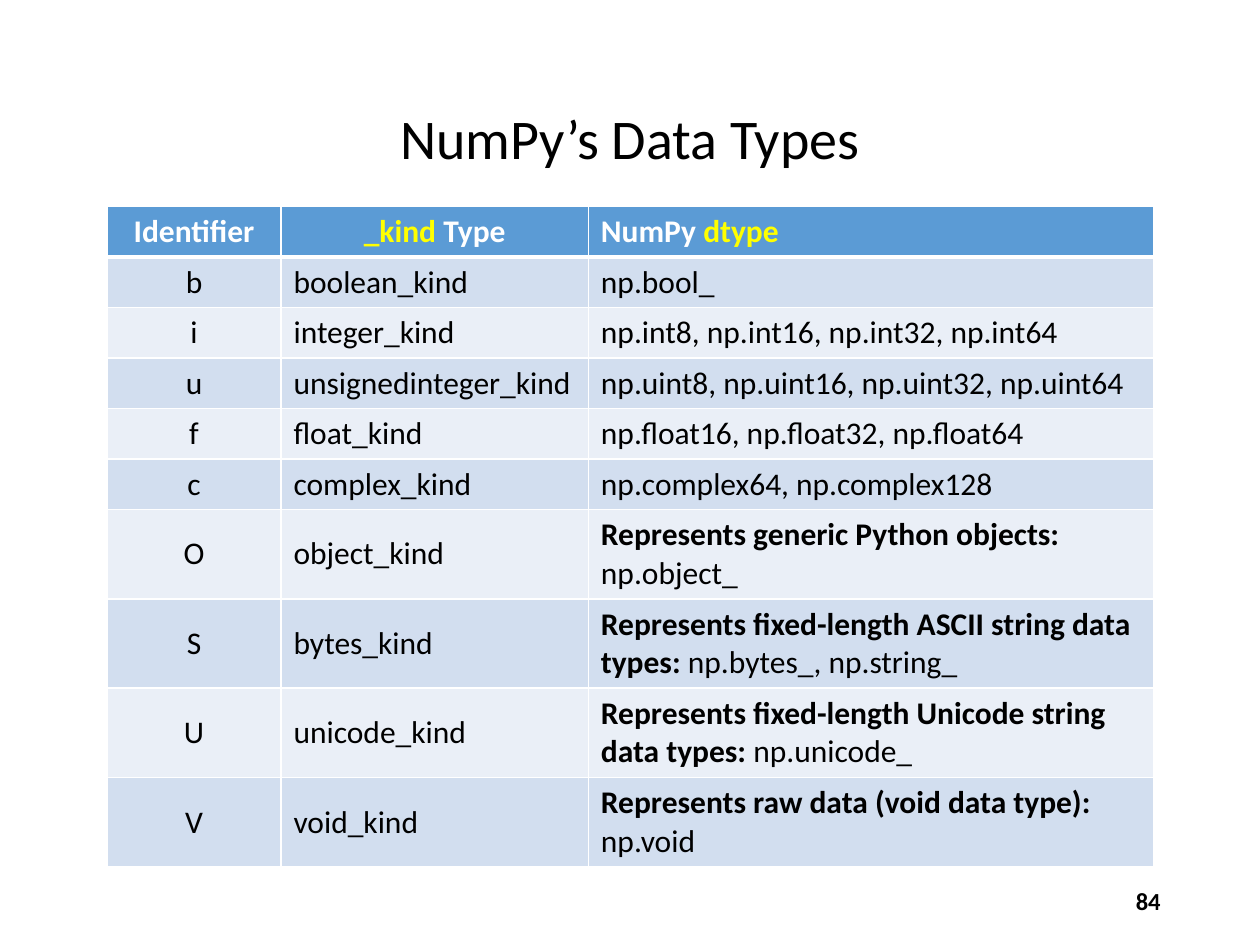
from pptx import Presentation
from pptx.dml.color import RGBColor
from pptx.enum import text as t
from pptx.oxml import parse_xml
from pptx.oxml.ns import nsdecls
from pptx.util import Inches, Pt

LEFT, MID, RIGHT = t.PP_ALIGN.LEFT, t.PP_ALIGN.CENTER, t.PP_ALIGN.RIGHT


def color(code):
    return RGBColor.from_string(code)


def write(frame, runs, size, align):
    frame.word_wrap = True
    frame.vertical_anchor = t.MSO_ANCHOR.MIDDLE
    para = frame.paragraphs[0]
    para.alignment = align
    for words, bold, shade in runs:
        run = para.add_run()
        run.text = words
        font = run.font
        font.name, font.size, font.bold = "Calibri", Pt(size), bold
        font.color.rgb = color(shade)
    return para


prs = Presentation()
prs.slide_width, prs.slide_height = Inches(10), Inches(7.5)
slide = prs.slides.add_slide(prs.slide_layouts[6])

title = slide.shapes.add_textbox(Inches(0.69), Inches(0.4), Inches(8.62), Inches(1.45))
head = write(title.text_frame, [("NumPy’s Data Types", False, "000000")], 32, MID)
head.line_spacing = 0.9

page = slide.shapes.add_textbox(Inches(7.06), Inches(6.95), Inches(2.25), Inches(0.4))
write(page.text_frame, [("84", True, "000000")], 14, RIGHT)

kinds = [
    ("b", "boolean_kind", "", "np.bool_"),
    ("i", "integer_kind", "", "np.int8, np.int16, np.int32, np.int64"),
    ("u", "unsignedinteger_kind", "", "np.uint8, np.uint16, np.uint32, np.uint64"),
    ("f", "float_kind", "", "np.float16, np.float32, np.float64"),
    ("c", "complex_kind", "", "np.complex64, np.complex128"),
    ("O", "object_kind", "Represents generic Python objects: ", "np.object_"),
    ("S", "bytes_kind", "Represents fixed-length ASCII string data types: ", "np.bytes_, np.string_"),
    ("U", "unicode_kind", "Represents fixed-length Unicode string data types: ", "np.unicode_"),
    ("V", "void_kind", "Represents raw data (void data type): ", "np.void"),
]
rows = [[
    [("Identifier", True, "FFFFFF")],
    [("_kind ", True, "FFFF00"), ("Type", True, "FFFFFF")],
    [("NumPy ", True, "FFFFFF"), ("dtype", True, "FFFF00")],
]]
for code, kind, note, types in kinds:
    last = [(note, True, "000000")] if note else []
    last.append((types, False, "000000"))
    rows.append([[(code, False, "000000")], [(kind, False, "000000")], last])

table = slide.shapes.add_table(
    len(rows), 3, Inches(0.85), Inches(1.64), Inches(8.31), Inches(5.23)).table
for col, width in zip(table.columns, (1.38, 2.44, 4.49)):
    col.width = Inches(width)

for r, row in enumerate(rows):
    table.rows[r].height = Inches(0.71 if len(row[2]) > 1 and r else 0.4)
    fill = ("EAEFF7", "D2DEEF")[r % 2] if r else "5B9BD5"
    for c, runs in enumerate(row):
        cell = table.cell(r, c)
        write(cell.text_frame, runs, 18, MID if c == 0 or (r == 0 and c == 1) else LEFT)
        cell.vertical_anchor = t.MSO_ANCHOR.MIDDLE
        props = cell._tc.get_or_add_tcPr()
        for side in "LRTB":
            thick = 3 if (r, side) in ((0, "B"), (1, "T")) else 1
            props.append(parse_xml(
                f'<a:ln{side} {nsdecls("a")} w="{Pt(thick)}"><a:solidFill>'
                f'<a:srgbClr val="FFFFFF"/></a:solidFill></a:ln{side}>'))
        cell.fill.solid()
        cell.fill.fore_color.rgb = color(fill)

prs.save("out.pptx")
